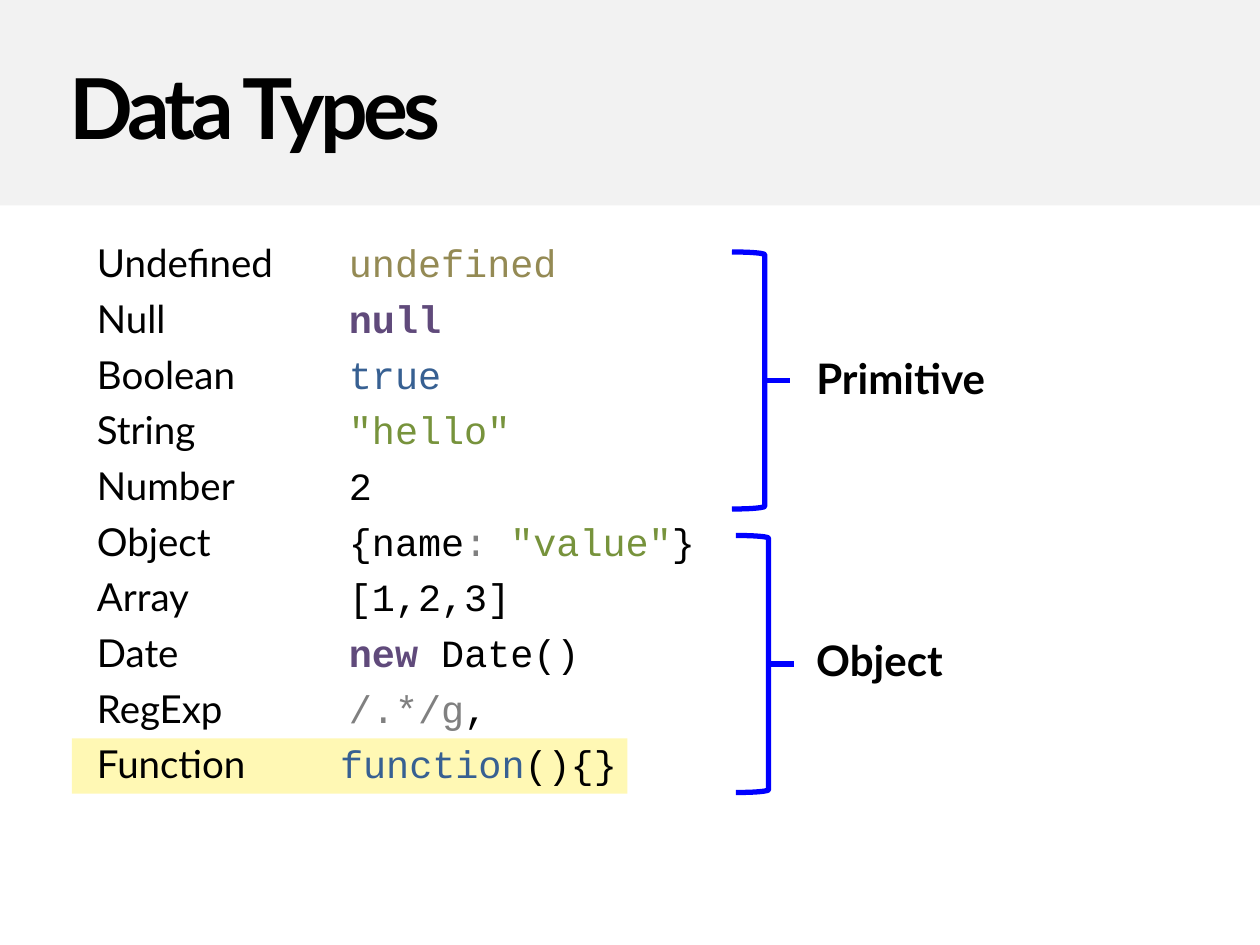
from lxml.etree import SubElement
from pptx import Presentation
from pptx.dml.color import RGBColor
from pptx.enum.shapes import MSO_CONNECTOR, MSO_SHAPE
from pptx.enum.text import MSO_ANCHOR, MSO_AUTO_SIZE, PP_ALIGN
from pptx.oxml.ns import qn
from pptx.util import Inches, Pt

BLACK, BLUE, GREEN, PURPLE = "000000", "376092", "77933C", "604A7B"
BRACKET = "0000FF"
CODE_TAB = 2

# Type name, then its code pieces as (text, colour, bold)
TYPES = [
    ("Undefined", [("undefined", "948A54", False)]),
    ("Null", [("null", PURPLE, True)]),
    ("Boolean", [("true", BLUE, False)]),
    ("String", [('"hello"', GREEN, False)]),
    ("Number", [("2", BLACK, False)]),
    ("Object", [("{name", BLACK, False), (": ", "7F7F7F", False),
                ('"value"', GREEN, False), ("}", BLACK, False)]),
    ("Array", [("[1,2,3]", BLACK, False)]),
    ("Date", [("new", PURPLE, True), (" Date()", BLACK, False)]),
    ("RegExp", [("/.*/g", "808080", False), (",", BLACK, False)]),
    ("Function", [("function", BLUE, False), ("(){}", BLACK, False)]),
]


def rgb(value):
    """Turn a hex string into a colour."""
    return RGBColor.from_string(value)


def add_run(p, text, size=22, font="Lato", color=BLACK, bold=False, spacing=None):
    """Add formatted text to a paragraph."""
    r = p.add_run()
    r.text = text
    r.font.size, r.font.name, r.font.bold = Pt(size), font, bold
    r.font.color.rgb = rgb(color)
    if spacing is not None:
        r.font._element.set("spc", str(round(spacing * 100)))


def place(sp, left, top, width, height):
    """Move and size a shape, in inches."""
    sp.left, sp.top = Inches(left), Inches(top)
    sp.width, sp.height = Inches(width), Inches(height)


def setup_frame(sp, left=0.09, wrap=True):
    """Set insets, anchor and wrapping of a placeholder's text."""
    tf = sp.text_frame
    tf.margin_left, tf.margin_right = Inches(left), Inches(0.09)
    tf.margin_top = tf.margin_bottom = Inches(0.05)
    tf.vertical_anchor = MSO_ANCHOR.TOP
    tf.auto_size = MSO_AUTO_SIZE.NONE
    tf.word_wrap = wrap
    return tf


def add_band(s, left, top, width, height, color):
    """Add a plain rectangle behind the text."""
    sp = s.shapes.add_shape(MSO_SHAPE.RECTANGLE, Inches(left), Inches(top),
                            Inches(width), Inches(height))
    sp.shadow.inherit = False
    sp.fill.solid()
    sp.fill.fore_color.rgb = rgb(color)
    sp.line.fill.background()
    s.shapes.element.insert(2, sp.element)


def add_title(s, text):
    """Fill the title placeholder."""
    place(s.shapes.title, 0.46, 0.38, 9.15, 0.83)
    p = setup_frame(s.shapes.title, wrap=False).paragraphs[0]
    p.alignment = PP_ALIGN.LEFT
    p.line_spacing = 1.01
    add_run(p, text, size=48, bold=True, spacing=-2.7)


def set_list_format(p, tab):
    """Remove the bullet and indent, and set the tab distance."""
    p.space_before, p.space_after = Pt(0), Pt(5.4)
    pPr = p._p.get_or_add_pPr()
    pPr.set("marL", "0")
    pPr.set("indent", "0")
    pPr.set("defTabSz", str(int(Inches(tab))))
    SubElement(pPr, qn("a:buNone"))


def add_types(s):
    """List each type with its code example in the body placeholder."""
    body = s.placeholders[1]
    place(body, 0.61, 1.85, 5.43, 4.72)
    tf = setup_frame(body, left=0.16)
    for i, (name, code) in enumerate(TYPES):
        p = tf.add_paragraph() if i else tf.paragraphs[0]
        set_list_format(p, CODE_TAB - 0.07 * (name == "Function"))
        add_run(p, name + "\t")
        for text, color, bold in code:
            add_run(p, text, font="Courier New", color=color, bold=bold)


def add_bracket(s, left, top):
    """Group a right bracket with the tick at its middle."""
    width, height, tick = 0.26, 2.04, 0.2
    group = s.shapes.add_group_shape()
    sp = group.shapes.add_shape(MSO_SHAPE.RIGHT_BRACKET, Inches(left), Inches(top),
                                Inches(width), Inches(height))
    sp.shadow.inherit = False
    sp.fill.background()
    x, y = left + width, top + height / 2
    line = group.shapes.add_connector(MSO_CONNECTOR.STRAIGHT, Inches(x), Inches(y),
                                      Inches(x + tick), Inches(y))
    for part in (sp, line):
        part.line.color.rgb = rgb(BRACKET)
        part.line.width = Pt(3)
    SubElement(line._element.spPr, qn("a:effectLst"))


def add_label(s, text, top, width):
    """Name the types that a bracket spans."""
    sp = s.shapes.add_textbox(Inches(6.38), Inches(top), Inches(width), Inches(0.5))
    sp.text_frame.word_wrap = False
    add_run(sp.text_frame.paragraphs[0], text, size=24, bold=True)


def main():
    """Build the slide."""
    prs = Presentation()
    prs.slide_width, prs.slide_height = Inches(10), Inches(7.5)
    s = prs.slides.add_slide(prs.slide_layouts[1])
    add_band(s, 0, 0, 10, 1.63, "F2F2F2")
    add_band(s, 0.57, 5.86, 4.41, 0.44, "FFF8B4")
    add_title(s, "Data Types")
    add_types(s)
    add_label(s, "Primitive", 2.75, 1.59)
    add_label(s, "Object", 4.99, 1.23)
    add_bracket(s, 5.81, 2)
    add_bracket(s, 5.84, 4.25)
    prs.save("out.pptx")


main()
